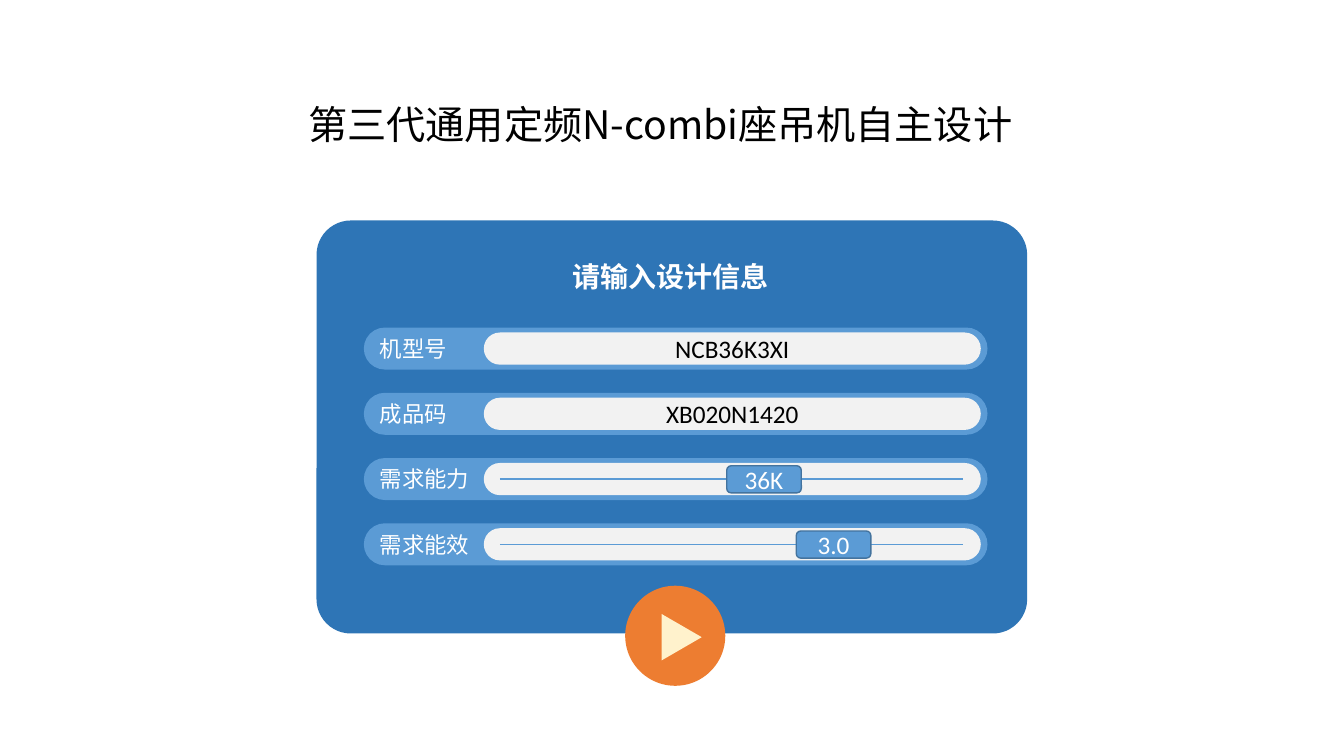
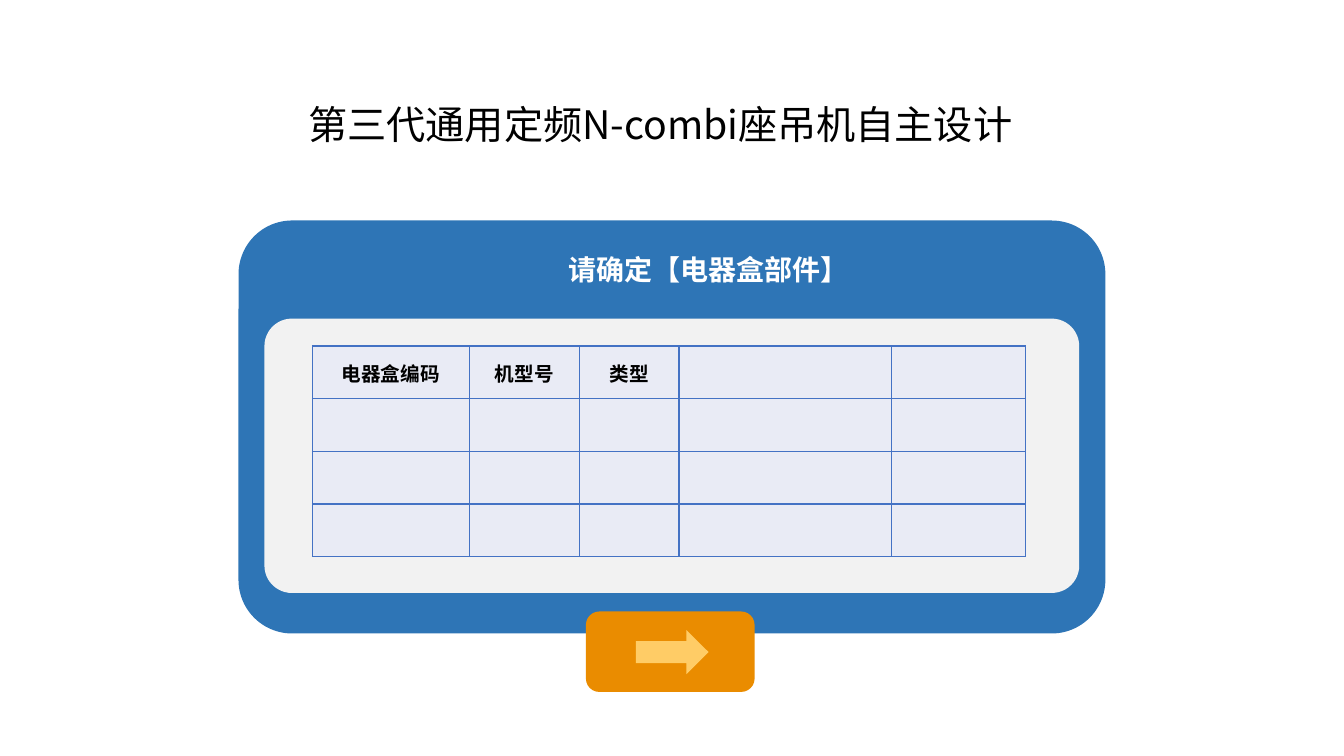
import dataclasses
import typing

import lxml.etree
import pptx
import pptx.dml.color
import pptx.enum.shapes
import pptx.enum.text
import pptx.oxml.ns
import pptx.util

Pt = pptx.util.Pt
Kind = pptx.enum.shapes.MSO_SHAPE
Align = pptx.enum.text.PP_ALIGN
Anchor = pptx.enum.text.MSO_ANCHOR
qn = pptx.oxml.ns.qn

COLORS = {
    "black": "000000", "white": "FFFFFF", "panel": "2E75B6", "accent": "5B9BD5",
    "knob_edge": "43739E", "field": "F2F2F2", "play": "ED7D31", "play_mark": "FFF2CC",
    "next": "EA8C00", "next_mark": "FFCC66", "cell": "E9EBF5", "grid": "4472C4",
}
CHINESE = "Noto Sans CJK SC"
LATIN = "Calibri"
TITLE = "第三代通用定频N-combi座吊机自主设计"
FRAME_FORMAT = {"auto_size": pptx.enum.text.MSO_AUTO_SIZE.NONE,
                "vertical_anchor": Anchor.MIDDLE}
CELL_FORMAT = {"vertical_anchor": Anchor.MIDDLE, "margin_left": Pt(0.7),
               "margin_right": Pt(0.7), "margin_top": Pt(0.7), "margin_bottom": 0}
ROW_LEFT, ROW_TOP, ROW_PITCH = 259.9, 234, 46.6
COLUMN_WIDTHS = (112, 78.6, 71.2, 152, 95.8)
ROW_COUNT, TABLE_ROW_HEIGHT = 4, 37.6
HEADERS = ("电器盒编码", "机型号", "类型")


class Box(typing.NamedTuple):
    left: float
    top: float
    width: float
    height: float

    def lengths(self) -> list:
        return [Pt(value) for value in self]


@dataclasses.dataclass(frozen=True)
class TextStyle:
    size: float
    color: str
    font: str = CHINESE
    bold: bool = False
    align: typing.Any = Align.CENTER


@dataclasses.dataclass(frozen=True)
class FormRow:
    label: str
    value: str
    knob_left: typing.Optional[float] = None


TITLE_STYLE = TextStyle(28, "black", align=Align.LEFT)
HEADING_STYLE = TextStyle(20, "white", bold=True)
LABEL_STYLE = TextStyle(16, "white", align=Align.LEFT)
VALUE_STYLE = TextStyle(18, "black", LATIN)
KNOB_STYLE = TextStyle(18, "white", LATIN)
HEADER_STYLE = TextStyle(14, "black", bold=True)
FORM_ROWS = (
    FormRow("机型号", "NCB36K3XI"),
    FormRow("成品码", "XB020N1420"),
    FormRow("需求能力", "36K", 519.1),
    FormRow("需求能效", "3.0", 568.8),
)


def rgb(color: str) -> pptx.dml.color.RGBColor:
    return pptx.dml.color.RGBColor.from_string(COLORS[color])


def apply_format(target: typing.Any, values: dict) -> None:
    for name, value in values.items():
        setattr(target, name, value)


def write_text(frame: typing.Any, text: str, style: TextStyle) -> None:
    paragraph = frame.paragraphs[0]
    paragraph.alignment = style.align
    run = paragraph.add_run()
    run.text = text
    run.font.color.rgb = rgb(style.color)
    apply_format(run.font, {"size": Pt(style.size), "bold": style.bold, "name": style.font})
    properties = run._r.get_or_add_rPr()
    lxml.etree.SubElement(properties, qn("a:ea"), typeface=style.font)


def add_block(slide: typing.Any, kind: typing.Any, box: Box, fill: str,
              corner: typing.Optional[float] = None, edge: typing.Optional[str] = None,
              text: str = "", style: typing.Optional[TextStyle] = None) -> typing.Any:
    shape = slide.shapes.add_shape(kind, *box.lengths())
    shape.shadow.inherit = False
    shape.fill.solid()
    shape.fill.fore_color.rgb = rgb(fill)
    if corner is not None:
        shape.adjustments[0] = corner
    if edge:
        shape.line.color.rgb = rgb(edge)
        shape.line.width = Pt(1)
    else:
        shape.line.fill.background()
    if text and style:
        apply_format(shape.text_frame, FRAME_FORMAT)
        write_text(shape.text_frame, text, style)
    return shape


def add_heading(slide: typing.Any, box: Box, text: str) -> None:
    frame = slide.shapes.add_textbox(*box.lengths()).text_frame
    frame.word_wrap = True
    write_text(frame, text, HEADING_STYLE)


def add_track(slide: typing.Any, left: float, right: float, middle: float) -> None:
    connector = slide.shapes.add_connector(
        pptx.enum.shapes.MSO_CONNECTOR.STRAIGHT,
        Pt(left), Pt(middle), Pt(right), Pt(middle))
    connector.line.color.rgb = rgb("accent")
    connector.line.width = Pt(1)
    lxml.etree.SubElement(connector._element.spPr, qn("a:effectLst"))


def add_form_row(slide: typing.Any, row: FormRow, top: float) -> None:
    add_block(slide, Kind.ROUNDED_RECTANGLE, Box(ROW_LEFT, top, 445.5, 30), "accent",
              0.5, text=row.label, style=LABEL_STYLE)
    is_slider = row.knob_left is not None
    add_block(slide, Kind.ROUNDED_RECTANGLE, Box(345.6, top + 3.5, 355, 23), "field",
              0.5, text="" if is_slider else row.value, style=VALUE_STYLE)
    if is_slider:
        add_track(slide, 357.1, 688, top + 15)
        add_block(slide, Kind.ROUNDED_RECTANGLE, Box(row.knob_left, top + 5.5, 53.3, 19.4),
                  "accent", edge="knob_edge", text=row.value, style=KNOB_STYLE)


def add_cell_borders(cell: typing.Any) -> None:
    properties = cell._tc.get_or_add_tcPr()
    for index, side in enumerate(("a:lnL", "a:lnR", "a:lnT", "a:lnB")):
        line = lxml.etree.Element(qn(side), w=str(Pt(1)))
        fill = lxml.etree.SubElement(line, qn("a:solidFill"))
        lxml.etree.SubElement(fill, qn("a:srgbClr"), val=COLORS["grid"])
        properties.insert(index, line)


def add_parts_table(slide: typing.Any) -> None:
    box = Box(223.2, 247.2, sum(COLUMN_WIDTHS), ROW_COUNT * TABLE_ROW_HEIGHT)
    table = slide.shapes.add_table(ROW_COUNT, len(COLUMN_WIDTHS), *box.lengths()).table
    apply_format(table, {"first_row": False, "horz_banding": False})
    for column, width in zip(table.columns, COLUMN_WIDTHS):
        column.width = Pt(width)
    for row in table.rows:
        row.height = Pt(TABLE_ROW_HEIGHT)
    for cell in table.iter_cells():
        cell.fill.solid()
        cell.fill.fore_color.rgb = rgb("cell")
        add_cell_borders(cell)
    for index, header in enumerate(HEADERS):
        cell = table.cell(0, index)
        apply_format(cell, CELL_FORMAT)
        write_text(cell.text_frame, header, HEADER_STYLE)


def add_panel_slide(presentation: typing.Any, left: float, width: float,
                    corner: float) -> typing.Any:
    slide = presentation.slides.add_slide(presentation.slide_layouts[5])
    title = slide.shapes.title
    names = ("left", "top", "width", "height")
    apply_format(title, dict(zip(names, Box(213.1, 67.7, 533.5, 41).lengths())))
    apply_format(title.text_frame, {**FRAME_FORMAT, "word_wrap": False})
    write_text(title.text_frame, TITLE, TITLE_STYLE)
    add_block(slide, Kind.ROUNDED_RECTANGLE, Box(left, 157.5, width, 295), "panel", corner)
    return slide


def build_input_slide(presentation: typing.Any) -> None:
    slide = add_panel_slide(presentation, 226.1, 507.6, 0.083)
    add_heading(slide, Box(392, 181.8, 174, 31.5), "请输入设计信息")
    for index, row in enumerate(FORM_ROWS):
        add_form_row(slide, row, ROW_TOP + index * ROW_PITCH)
    add_block(slide, Kind.OVAL, Box(446.6, 418.4, 71.5, 71.5), "play")
    mark = add_block(slide, Kind.ISOSCELES_TRIANGLE, Box(470.3, 440.8, 33.2, 28.7), "play_mark")
    mark.rotation = 90


def build_parts_slide(presentation: typing.Any) -> None:
    slide = add_panel_slide(presentation, 170.4, 619.2, 0.13)
    add_block(slide, Kind.ROUNDED_RECTANGLE, Box(188.9, 227.6, 582, 196), "field", 0.1)
    add_heading(slide, Box(378, 176.8, 256.3, 31.5), "请确定【电器盒部件】")
    add_parts_table(slide)
    add_block(slide, Kind.ROUNDED_RECTANGLE, Box(418.5, 436.8, 120.5, 57.5), "next")
    add_block(slide, Kind.RIGHT_ARROW, Box(454.2, 450, 52, 31.6), "next_mark")


def main() -> None:
    presentation = pptx.Presentation()
    apply_format(presentation, {"slide_width": Pt(960), "slide_height": Pt(540)})
    build_input_slide(presentation)
    build_parts_slide(presentation)
    presentation.save("out.pptx")


if __name__ == "__main__":
    main()
